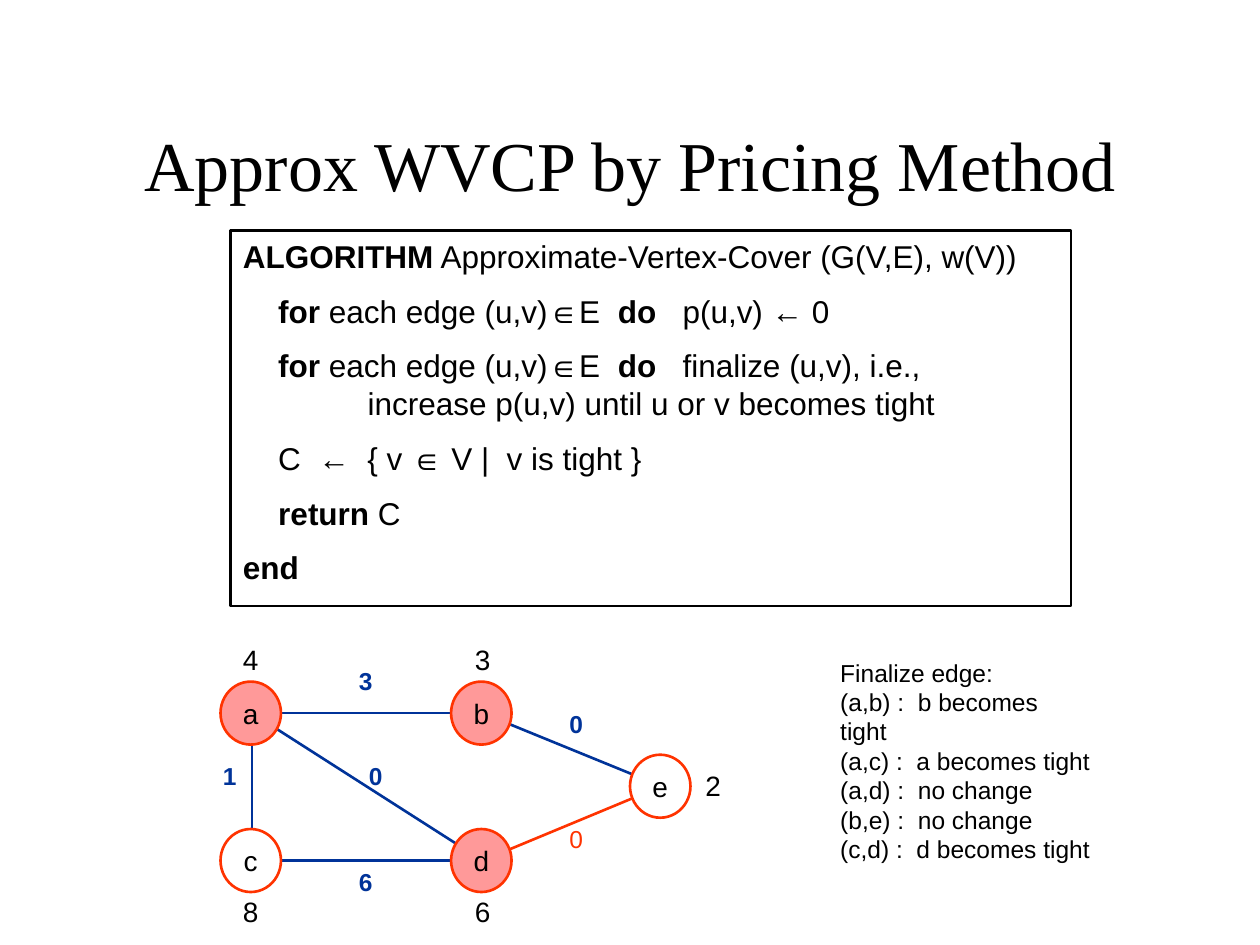
from dataclasses import dataclass

from lxml import etree
from pptx import Presentation
from pptx.dml.color import RGBColor
from pptx.enum import shapes, text
from pptx.oxml.ns import qn
from pptx.util import Inches, Pt


@dataclass(frozen=True)
class Theme:
    title_font: str = "Times New Roman"
    body_font: str = "Arial"
    ink: str = "000000"
    blue: str = "003399"
    red: str = "FF3300"
    pink: str = "FF9999"
    white: str = "FFFFFF"
    title_size: int = 40
    code_size: int = 18
    node_size: int = 16
    note_size: int = 14
    line_width: float = 1.5


class SlideBuilder:
    def __init__(self, page, theme):
        self.page = page
        self.theme = theme

    def style(self, span, size, color=None, bold=False, font=None):
        span.font.name = font or self.theme.body_font
        span.font.size = Pt(size)
        span.font.bold = bold
        span.font.color.rgb = RGBColor.from_string(color or self.theme.ink)

    def outline(self, line, color):
        line.color.rgb = RGBColor.from_string(color)
        line.width = Pt(self.theme.line_width)

    def label(self, words, left, top, width, height, size, wrap=False,
              align=text.PP_ALIGN.LEFT, anchor=text.MSO_ANCHOR.TOP, **look):
        box = self.page.shapes.add_textbox(
            Inches(left), Inches(top), Inches(width), Inches(height))
        frame = box.text_frame
        frame.text = words
        frame.word_wrap = wrap
        frame.vertical_anchor = anchor
        for para in frame.paragraphs:
            para.alignment = align
            for span in para.runs:
                self.style(span, size, **look)

    def edge(self, start, end, color):
        line = self.page.shapes.add_connector(
            shapes.MSO_CONNECTOR.STRAIGHT, *map(Inches, start + end))
        self.outline(line.line, color)
        etree.SubElement(line._element.spPr, qn("a:effectLst"))

    def node(self, name, center, fill):
        x, y = center
        width, height = 0.48, 0.5
        circle = self.page.shapes.add_shape(
            shapes.MSO_SHAPE.OVAL, Inches(x - 0.25), Inches(y - 0.25),
            Inches(width), Inches(height))
        circle.shadow.inherit = False
        circle.fill.solid()
        circle.fill.fore_color.rgb = RGBColor.from_string(fill)
        self.outline(circle.line, self.theme.red)
        frame = circle.text_frame
        frame.margin_left = frame.margin_right = 0
        frame.text = name
        frame.vertical_anchor = text.MSO_ANCHOR.MIDDLE
        para = frame.paragraphs[0]
        para.alignment = text.PP_ALIGN.CENTER
        self.style(para.runs[0], self.theme.node_size)

    def code_box(self, steps, left, top, width, height):
        """Steps are (first-line indent, wording); words between * are bold."""
        box = self.page.shapes.add_shape(
            shapes.MSO_SHAPE.RECTANGLE, Inches(left), Inches(top),
            Inches(width), Inches(height))
        box.shadow.inherit = False
        box.fill.background()
        self.outline(box.line, self.theme.ink)
        frame = box.text_frame
        frame.word_wrap = True
        frame.vertical_anchor = text.MSO_ANCHOR.TOP
        hanging = 0.99
        for i, (indent, wording) in enumerate(steps):
            para = frame.add_paragraph() if i else frame.paragraphs[0]
            para.alignment = text.PP_ALIGN.LEFT
            para.space_before = Pt(9.7 if i else 0)
            properties = para._p.get_or_add_pPr()
            properties.set("marL", str(Inches(hanging)))
            properties.set("indent", str(Inches(indent - hanging)))
            for j, part in enumerate(wording.split("*")):
                for k, piece in enumerate(part.split("\n")):
                    if k:
                        para.add_line_break()
                    if piece:
                        span = para.add_run()
                        span.text = piece
                        self.style(span, self.theme.code_size, bold=j % 2 == 1)


def main():
    theme = Theme()
    deck = Presentation()
    deck.slide_width, deck.slide_height = Inches(10), Inches(7.5)
    slide = SlideBuilder(deck.slides.add_slide(deck.slide_layouts[6]), theme)

    # Title
    slide.label("Approx WVCP by Pricing Method", 0.75, 0.67, 8.5, 1.25,
                theme.title_size, wrap=True, align=text.PP_ALIGN.CENTER,
                anchor=text.MSO_ANCHOR.MIDDLE, font=theme.title_font)

    # Graph: node centre, fill, weight and place of the weight
    left, middle, right = 2, 3.83, 5.25
    upper, center, lower = 5.66, 6.24, 6.83
    nodes = {
        "a": ((left, upper), theme.pink, "4", (1.83, 5.05)),
        "b": ((middle, upper), theme.pink, "3", (3.67, 5.05)),
        "e": ((right, center), theme.white, "2", (5.5, 6.05)),
        "d": ((middle, lower), theme.pink, "6", (3.67, 7.05)),
        "c": ((left, lower), theme.white, "8", (1.83, 7.05)),
    }
    # Edge ends, price, place of the price, colour
    edges = [
        ("ab", "3", (2.75, 5.24), theme.blue),
        ("be", "0", (4.42, 5.58), theme.blue),
        ("ed", "0", (4.42, 6.49), theme.red),
        ("ad", "0", (2.83, 5.99), theme.blue),
        ("cd", "6", (2.75, 6.83), theme.blue),
        ("ac", "1", (1.67, 5.99), theme.blue),
    ]
    for (start, end), _, _, color in edges:
        slide.edge(nodes[start][0], nodes[end][0], color)
    for name, (spot, fill, weight, place) in nodes.items():
        slide.node(name, spot, fill)
        slide.label(weight, *place, 0.32, 0.37, theme.node_size)
    for _, price, place, color in edges:
        slide.label(price, *place, 0.31, 0.33, theme.note_size,
                    color=color, bold=color == theme.blue)

    # Trace of the finalized edges
    trace = [
        "Finalize edge:",
        "(a,b) :  b becomes tight",
        "(a,c) :  a becomes tight",
        "(a,d) :  no change",
        "(b,e) :  no change",
        "(c,d) :  d becomes tight",
    ]
    slide.label("\n".join(trace), 6.57, 5.17, 2.18, 1.5,
                theme.note_size, wrap=True)

    # Algorithm
    step = 0.28
    slide.code_box([
        (0, "*ALGORITHM* Approximate-Vertex-Cover (G(V,E), w(V))"),
        (step, "*for* each edge (u,v)∈E  *do*   p(u,v) ← 0"),
        (step, "*for* each edge (u,v)∈E  *do*   finalize (u,v), i.e.,\n"
               "increase p(u,v) until u or v becomes tight"),
        (step, "C  ←  { v ∈ V |  v is tight }"),
        (step, "*return* C"),
        (0, "*end*"),
    ], 1.83, 1.83, 6.67, 2.98)

    deck.save("out.pptx")


if __name__ == "__main__":
    main()
